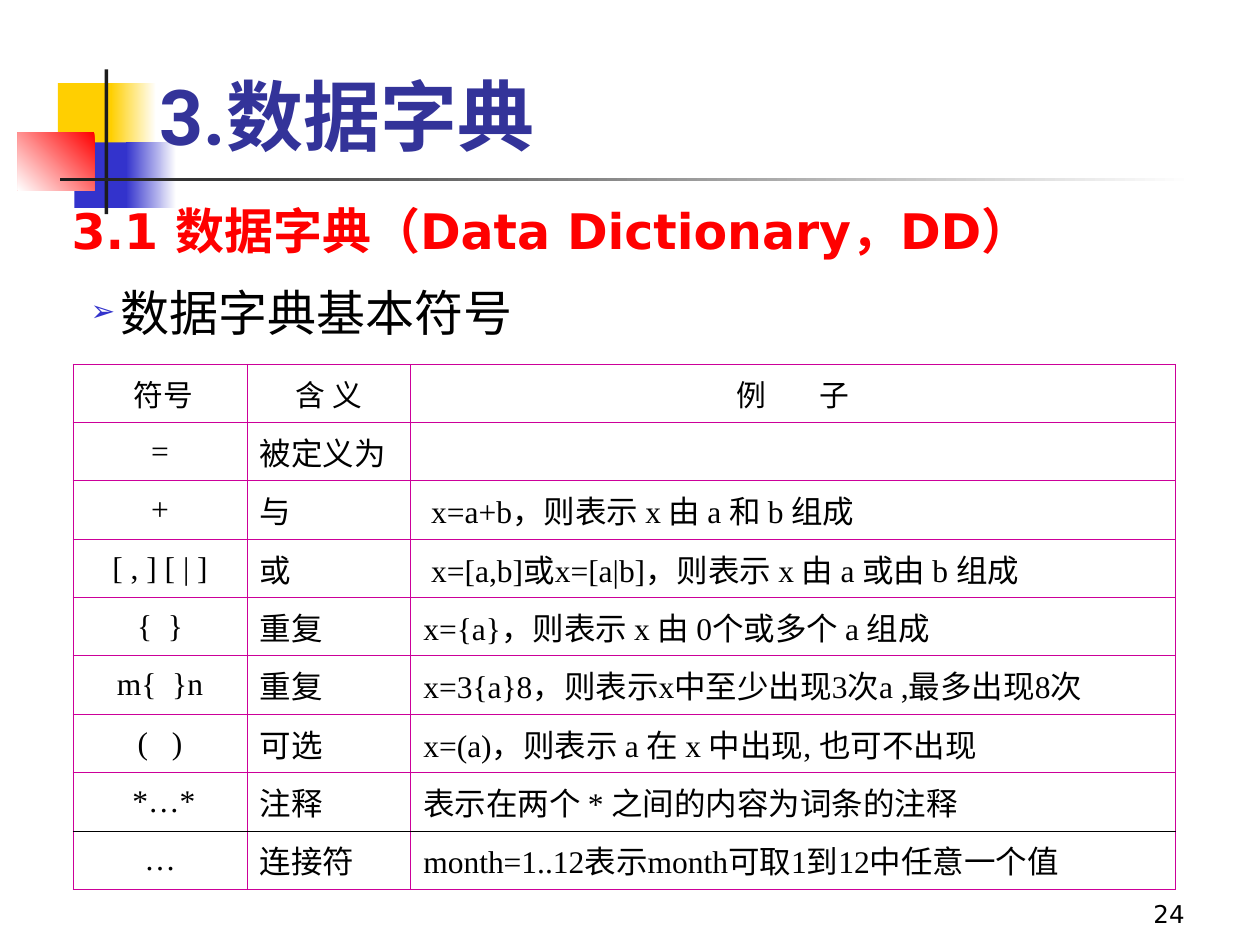
"""Build the data dictionary slide with its table of basic symbols."""
from dataclasses import dataclass
from typing import Optional

from lxml.etree import SubElement
from pptx import Presentation
from pptx.dml.color import RGBColor
from pptx.enum.shapes import MSO_SHAPE as Preset
from pptx.enum.text import MSO_ANCHOR as Anchor, PP_ALIGN as Align
from pptx.oxml.ns import qn
from pptx.util import Inches, Pt

WHITE = RGBColor(0xFF, 0xFF, 0xFF)
BLACK = RGBColor(0x00, 0x00, 0x00)
YELLOW = RGBColor(0xFF, 0xCF, 0x01)
BLUE = RGBColor(0x33, 0x33, 0xCC)
NAVY = RGBColor(0x33, 0x33, 0x99)
RED = RGBColor(0xFF, 0x00, 0x00)
INK = RGBColor(0x1C, 0x1C, 0x1C)
MAGENTA = RGBColor(0xCC, 0x00, 0x99)

BORDER_WIDTH = Pt(0.45)
COLUMN_WIDTHS = (1.38, 1.3, 6.07)
TABLE_HEIGHT = 4.17
BLACK_RULE_ABOVE_ROW = 8


@dataclass(frozen=True)
class Block:
    left: float
    top: float
    width: float
    height: float
    start: RGBColor
    end: Optional[RGBColor] = None
    angle: float = 180


@dataclass(frozen=True)
class Caption:
    left: float
    top: float
    width: float
    height: float
    text: str
    font: dict
    anchor: Anchor = Anchor.BOTTOM
    align: Align = Align.LEFT


@dataclass(frozen=True)
class Symbol:
    sign: str
    meaning: str
    example: str


BLOCKS = (
    Block(0.46, 0.66, 0.48, 0.52, YELLOW),
    Block(0.88, 0.66, 0.36, 0.52, WHITE, YELLOW),
    Block(0.59, 1.13, 0.46, 0.52, BLUE),
    Block(1, 1.13, 0.4, 0.52, WHITE, BLUE),
    Block(0.14, 1.05, 0.61, 0.46, RED, WHITE, 225),
    Block(0.83, 0.55, 0.03, 1.15, INK),
    Block(0.48, 1.41, 9, 0.03, WHITE, INK),
)

TITLE = Caption(1.17, 0.08, 8.33, 1.25, "3.数据字典",
                {"name": "Roboto", "size": Pt(44), "bold": True, "color": NAVY})
TOPIC = Caption(0.62, 2.19, 8.75, 4.53, "数据字典基本符号",
                {"name": "Roboto", "size": Pt(28), "color": BLACK}, Anchor.TOP)
PAGE_NUMBER = Caption(7.42, 6.92, 2.08, 0.5, "24",
                      {"name": "DejaVu Sans", "size": Pt(14), "color": BLACK},
                      align=Align.RIGHT)
SECTION = Caption(0.47, 1.4, 8.75, 0.71, "3.1 数据字典（Data Dictionary，DD）",
                  {"name": "DejaVu Sans", "size": Pt(28), "bold": True, "color": RED})

SYMBOLS = (
    Symbol(" 符号", "含 义", "例        子"),
    Symbol("=", "被定义为", ""),
    Symbol("+", "与", " x=a+b，则表示 x 由 a 和 b 组成"),
    Symbol("[ , ] [ | ]", "或", " x=[a,b]或x=[a|b]，则表示 x 由 a 或由 b 组成"),
    Symbol("{  }", "重复", "x={a}，则表示 x 由 0个或多个 a 组成"),
    Symbol("m{  }n", "重复", "x=3{a}8，则表示x中至少出现3次a ,最多出现8次"),
    Symbol("(   )", "可选", "x=(a)，则表示 a 在 x 中出现, 也可不出现"),
    Symbol(" *…*", "注释", "表示在两个 * 之间的内容为词条的注释"),
    Symbol("…", "连接符", "month=1..12表示month可取1到12中任意一个值"),
)


def write(paragraph, text: str, font: dict) -> None:
    run = paragraph.add_run()
    run.text = text
    for key, value in font.items():
        if key == "color":
            run.font.color.rgb = value
        else:
            setattr(run.font, key, value)


def draw_block(slide, block: Block) -> None:
    rect = slide.shapes.add_shape(
        Preset.RECTANGLE, Inches(block.left), Inches(block.top),
        Inches(block.width), Inches(block.height))
    rect.shadow.inherit = False
    rect.line.fill.background()
    if block.end is None:
        rect.fill.solid()
        rect.fill.fore_color.rgb = block.start
        return
    rect.fill.gradient()
    rect.fill.gradient_angle = block.angle
    for stop, color in zip(rect.fill.gradient_stops, (block.start, block.end)):
        stop.color.rgb = color


def draw_caption(slide, caption: Caption):
    box = slide.shapes.add_textbox(
        Inches(caption.left), Inches(caption.top),
        Inches(caption.width), Inches(caption.height))
    frame = box.text_frame
    frame.word_wrap = True
    frame.vertical_anchor = caption.anchor
    paragraph = frame.paragraphs[0]
    paragraph.alignment = caption.align
    write(paragraph, caption.text, caption.font)
    return paragraph


def add_bullet(paragraph, char: str, color: RGBColor, percent: int, indent: float) -> None:
    paragraph.space_before = Pt(7)
    props = paragraph._p.get_or_add_pPr()
    props.set("marL", str(Inches(indent)))
    props.set("indent", str(-Inches(indent)))
    tint = SubElement(props, qn("a:buClr"))
    SubElement(tint, qn("a:srgbClr"), val=str(color))
    SubElement(props, qn("a:buSzPct"), val=str(percent * 1000))
    SubElement(props, qn("a:buFont"), typeface="DejaVu Sans")
    SubElement(props, qn("a:buChar"), char=char)


def set_borders(cell, colors: dict) -> None:
    props = cell._tc.get_or_add_tcPr()
    for side in "LRTB":
        line = SubElement(props, qn(f"a:ln{side}"), w=str(BORDER_WIDTH))
        fill = SubElement(line, qn("a:solidFill"))
        SubElement(fill, qn("a:srgbClr"), val=str(colors.get(side, MAGENTA)))


def fill_cell(cell, text: str, row: int, column: int) -> None:
    rules = {BLACK_RULE_ABOVE_ROW - 1: {"B": BLACK}, BLACK_RULE_ABOVE_ROW: {"T": BLACK}}
    set_borders(cell, rules.get(row, {}))
    cell.fill.background()
    cell.vertical_anchor = Anchor.MIDDLE
    if not text:
        return
    header = row == 0
    paragraph = cell.text_frame.paragraphs[0]
    paragraph.alignment = Align.CENTER if header or column == 0 else Align.LEFT
    paragraph.space_before = Pt(4.2 if header else 4.5)
    write(paragraph, text, {"name": "Times New Roman",
                            "size": Pt(17 if header else 18), "color": BLACK})


def draw_symbols(slide) -> None:
    table = slide.shapes.add_table(
        len(SYMBOLS), len(COLUMN_WIDTHS), Inches(0.58), Inches(2.89),
        Inches(sum(COLUMN_WIDTHS)), Inches(TABLE_HEIGHT)).table
    table.first_row = table.horz_banding = False
    for column, width in zip(table.columns, COLUMN_WIDTHS):
        column.width = Inches(width)
    for row, symbol in enumerate(SYMBOLS):
        for column, text in enumerate((symbol.sign, symbol.meaning, symbol.example)):
            fill_cell(table.cell(row, column), text, row, column)


def main() -> None:
    deck = Presentation()
    deck.slide_width, deck.slide_height = Inches(10), Inches(7.5)
    slide = deck.slides.add_slide(deck.slide_layouts[6])
    for block in BLOCKS:
        draw_block(slide, block)
    draw_caption(slide, TITLE)
    add_bullet(draw_caption(slide, TOPIC), "➢", BLUE, 60, 0.24)
    draw_caption(slide, PAGE_NUMBER)
    draw_caption(slide, SECTION)
    draw_symbols(slide)
    deck.save("out.pptx")


if __name__ == "__main__":
    main()
